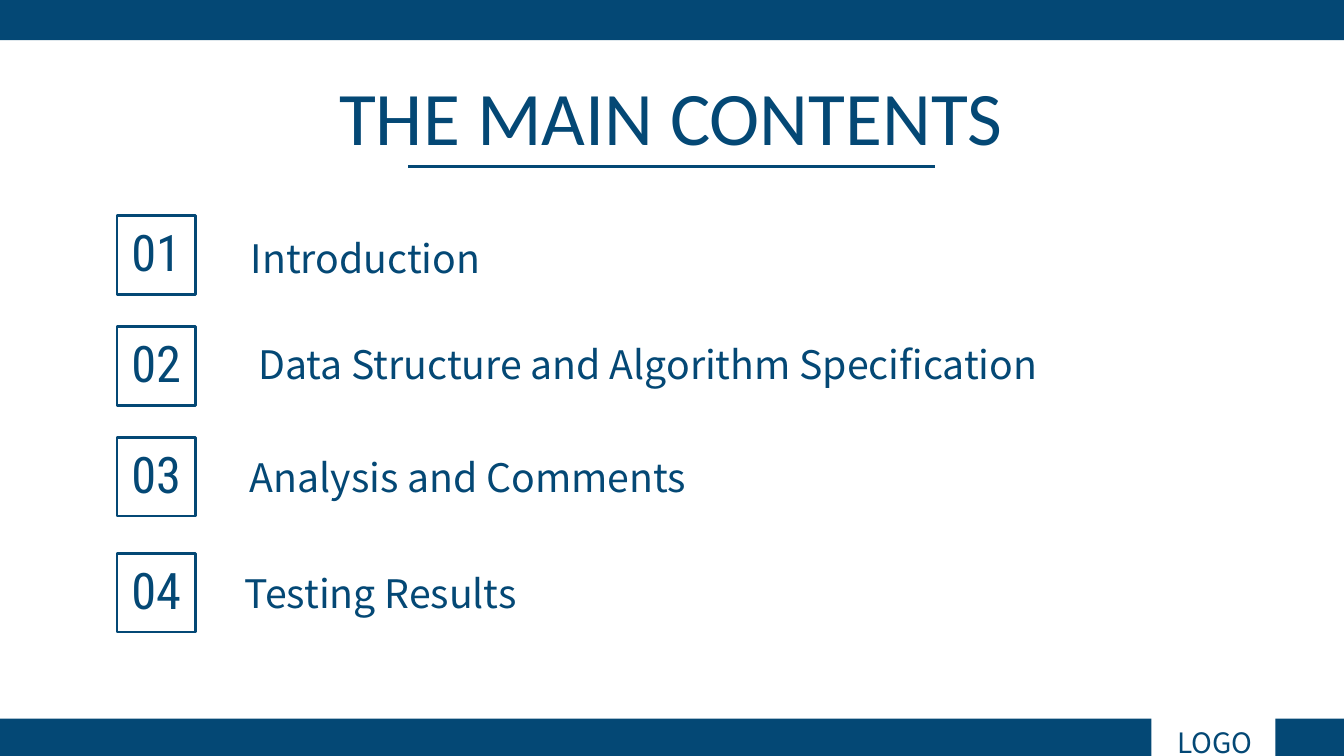
from lxml.etree import SubElement
from pptx import Presentation
from pptx.dml.color import RGBColor
from pptx.enum.shapes import MSO_CONNECTOR, MSO_SHAPE
from pptx.enum.text import MSO_ANCHOR, PP_ALIGN
from pptx.oxml.ns import qn
from pptx.util import Inches, Pt

NAVY = RGBColor(0x04, 0x48, 0x75)
BODY_FONT = "Noto Sans CJK SC"
NUMBER_FONT = "Roboto Condensed"
TITLE_FONT = "Calibri"
LINE_WIDTH = Pt(2)
SQUARE = 0.78


class ContentsSlide:
    def __init__(self, prs):
        self.s = prs.slides.add_slide(prs.slide_layouts[6])

    def rect(self, left, top, width, height):
        sp = self.s.shapes.add_shape(
            MSO_SHAPE.RECTANGLE,
            Inches(left), Inches(top), Inches(width), Inches(height),
        )
        sp.shadow.inherit = False
        return sp

    def bar(self, left, top, width, height):
        sp = self.rect(left, top, width, height)
        sp.fill.solid()
        sp.fill.fore_color.rgb = NAVY
        sp.line.fill.background()

    def set_text(self, tf, text, size, font):
        tf.text = text
        p = tf.paragraphs[0]
        p.alignment = PP_ALIGN.CENTER
        r = p.runs[0]
        r.font.size = Pt(size)
        r.font.name = font
        r.font.color.rgb = NAVY

    def text(self, left, top, width, height, text, size, font=BODY_FONT):
        sp = self.s.shapes.add_textbox(
            Inches(left), Inches(top), Inches(width), Inches(height)
        )
        sp.text_frame.word_wrap = True
        self.set_text(sp.text_frame, text, size, font)

    def number(self, left, top, text):
        sp = self.rect(left, top, SQUARE, SQUARE)
        sp.fill.background()
        sp.line.color.rgb = NAVY
        sp.line.width = LINE_WIDTH
        tf = sp.text_frame
        tf.margin_left = tf.margin_right = tf.margin_top = 0
        tf.margin_bottom = Inches(0.07)
        tf.vertical_anchor = MSO_ANCHOR.MIDDLE
        self.set_text(tf, text, 36, NUMBER_FONT)

    def rule(self, left, right, y):
        sp = self.s.shapes.add_connector(
            MSO_CONNECTOR.STRAIGHT,
            Inches(left), Inches(y), Inches(right), Inches(y),
        )
        sp.line.color.rgb = NAVY
        sp.line.width = LINE_WIDTH
        SubElement(sp._element.spPr, qn("a:effectLst"))


def main():
    prs = Presentation()
    prs.slide_width = Inches(13.33)
    prs.slide_height = Inches(7.5)
    slide = ContentsSlide(prs)

    slide.bar(0, 0, 13.33, 0.4)
    slide.bar(0, 7.13, 11.42, 0.37)
    slide.bar(12.65, 7.13, 0.68, 0.37)
    slide.text(11.23, 7.15, 1.64, 0.44, "LOGO", 20)

    slide.text(3, 0.64, 7.31, 1.01, "THE MAIN CONTENTS", 54, TITLE_FONT)
    slide.rule(4.05, 9.27, 1.65)

    topics = [
        ("Introduction", 2.14, 2.07, 2.28, 3.11),
        ("Data Structure and Algorithm Specification", 3.24, 2.33, 3.33, 8.19),
        ("Analysis and Comments", 4.34, 2, 4.45, 5.28),
        ("Testing Results", 5.49, 2.07, 5.6, 3.41),
    ]
    for i, (topic, square_top, left, top, width) in enumerate(topics, 1):
        slide.number(1.16, square_top, f"{i:02}")
        slide.text(left, top, width, 0.57, topic, 28)

    prs.save("out.pptx")


if __name__ == "__main__":
    main()
